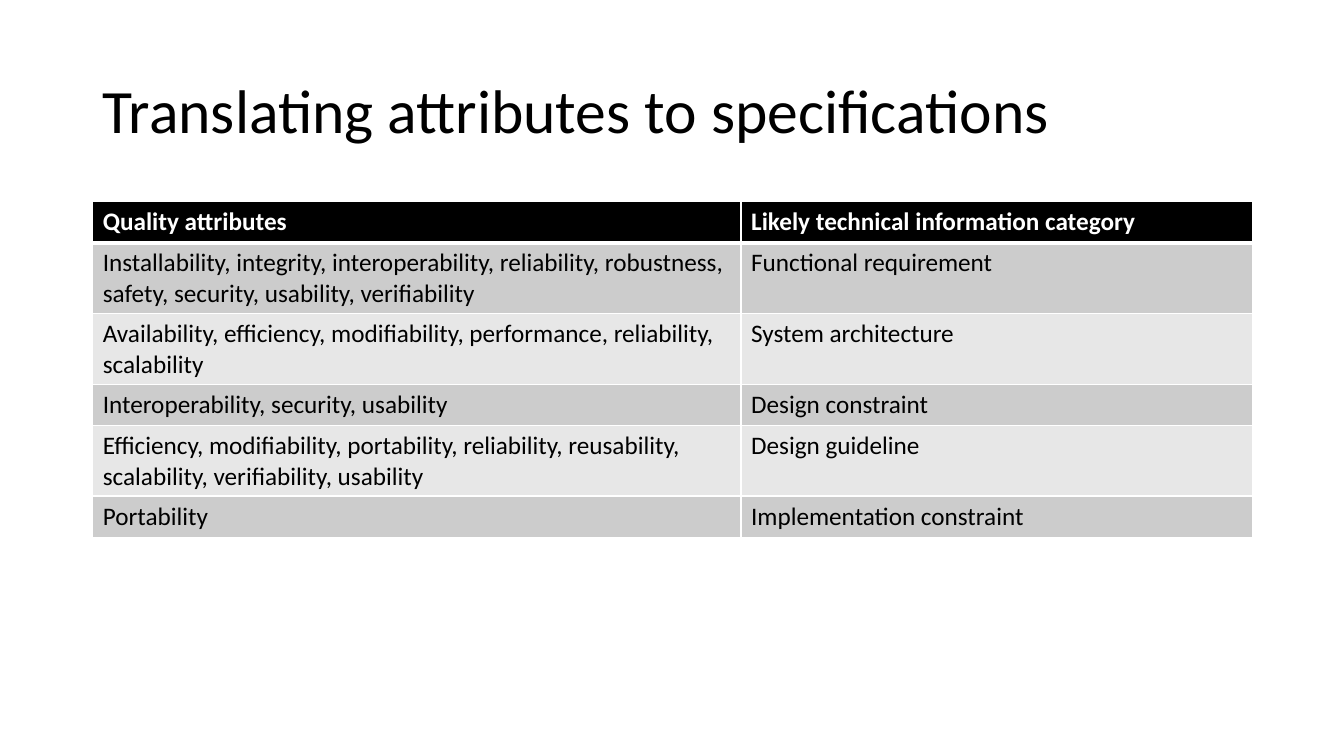
import pptx
import pptx.util
import pptx.dml.color
import pptx.enum.text
import pptx.oxml.ns
import lxml.etree

SCALE = 9144
ROWS = [
    ("Quality attributes", "Likely technical information category"),
    ("Installability, integrity, interoperability, reliability, robustness, "
     "safety, security, usability, verifiability", "Functional requirement"),
    ("Availability, efficiency, modifiability, performance, reliability, scalability",
     "System architecture"),
    ("Interoperability, security, usability", "Design constraint"),
    ("Efficiency, modifiability, portability, reliability, reusability, "
     "scalability, verifiability, usability", "Design guideline"),
    ("Portability", "Implementation constraint"),
]


def px(n):
    return pptx.util.Emu(n * SCALE)


def color(code):
    return pptx.dml.color.RGBColor.from_string(code)


def write(frame, text, size=18, ink="000000", bold=False, space=None):
    frame.word_wrap = True
    para = frame.paragraphs[0]
    para.line_spacing = space
    run = para.add_run()
    run.text = text
    run.font.name = "Calibri"
    run.font.size = pptx.util.Pt(size)
    run.font.bold = bold
    run.font.color.rgb = color(ink)


def border(cell, side, width, ink="FFFFFF"):
    tag = pptx.oxml.ns.qn
    props = cell._tc.get_or_add_tcPr()
    line = lxml.etree.SubElement(props, tag("a:ln" + side), w=str(pptx.util.Pt(width)))
    solid = lxml.etree.SubElement(line, tag("a:solidFill"))
    lxml.etree.SubElement(solid, tag("a:srgbClr"), val=ink)


def title(slide, text):
    box = slide.shapes.add_textbox(px(92), px(40), px(1150), px(145))
    box.text_frame.vertical_anchor = pptx.enum.text.MSO_ANCHOR.MIDDLE
    write(box.text_frame, text, size=44, space=0.9)


def grid(slide, rows, widths, height):
    frame = slide.shapes.add_table(len(rows), len(widths), px(92), px(200),
                                   px(sum(widths)), px(height * len(rows)))
    table = frame.table
    for col, width in zip(table.columns, widths):
        col.width = px(width)
    for i, row in enumerate(rows):
        table.rows[i].height = px(height)
        head = i == 0
        fill = "000000" if head else ("E7E7E7", "CCCCCC")[i % 2]
        for j, text in enumerate(row):
            cell = table.cell(i, j)
            for side in "LRTB":
                thick = (head and side == "B") or (i == 1 and side == "T")
                border(cell, side, 3 if thick else 1)
            cell.fill.solid()
            cell.fill.fore_color.rgb = color(fill)
            write(cell.text_frame, text, ink="FFFFFF" if head else "000000", bold=head)


def main():
    deck = pptx.Presentation()
    deck.slide_width = px(1333)
    deck.slide_height = px(750)
    slide = deck.slides.add_slide(deck.slide_layouts[6])
    title(slide, "Translating attributes to specifications")
    grid(slide, ROWS, (643, 507), 41)
    deck.save("out.pptx")


if __name__ == "__main__":
    main()
